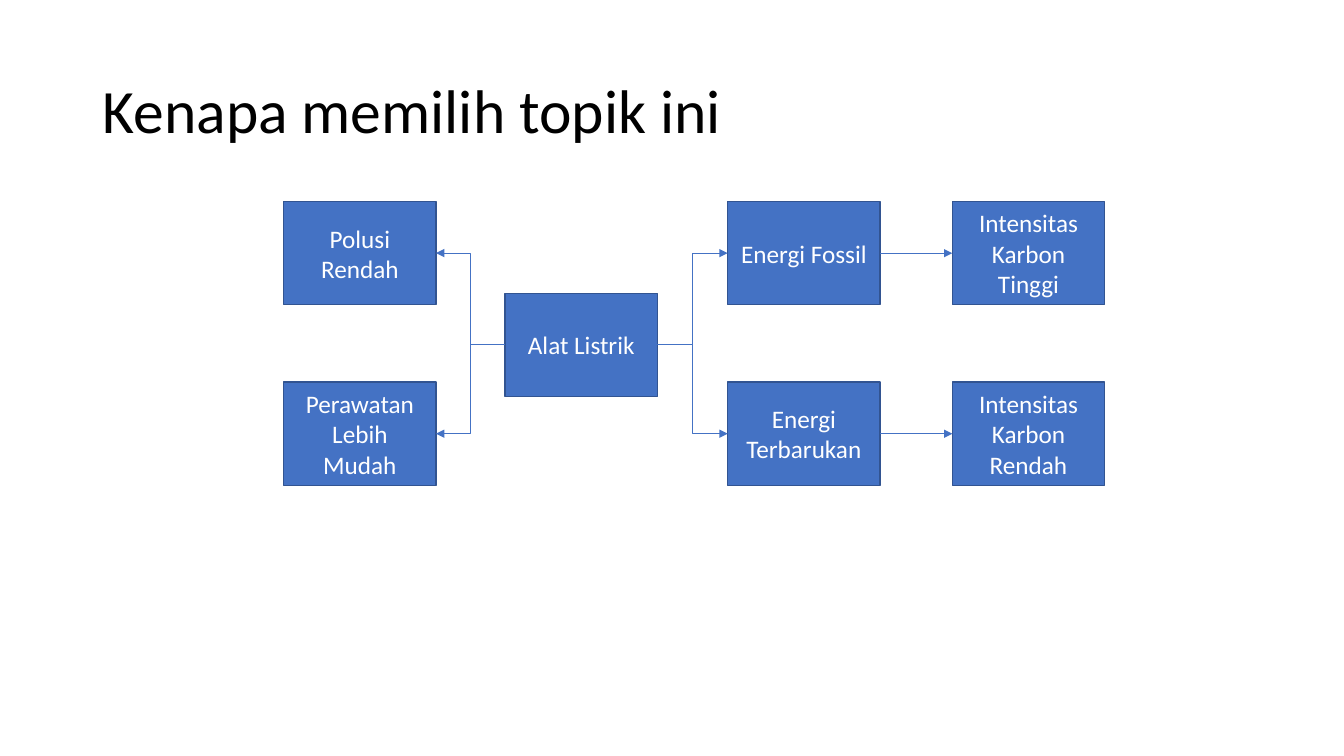
from lxml import etree
from pptx import Presentation
from pptx.dml.color import RGBColor
from pptx.enum.shapes import MSO_CONNECTOR, MSO_SHAPE
from pptx.enum.text import MSO_ANCHOR, PP_ALIGN
from pptx.oxml.ns import qn
from pptx.util import Cm, Pt

RECTANGLE = MSO_SHAPE.RECTANGLE
STRAIGHT, ELBOW = MSO_CONNECTOR.STRAIGHT, MSO_CONNECTOR.ELBOW
MIDDLE = MSO_ANCHOR.MIDDLE
LEFT, CENTER = PP_ALIGN.LEFT, PP_ALIGN.CENTER
LEFT_SITE, RIGHT_SITE = 1, 3  # connection sites of a rectangle

COLORS = {"title": "000000", "box": "4472C4", "border": "325491",
          "label": "FFFFFF", "arrow": "4472C4"}
BOX_WIDTH, BOX_HEIGHT = 3.84, 2.6
TOP_ROW, MIDDLE_ROW, BOTTOM_ROW = 5.08, 7.39, 9.63
BENEFIT_X, DEVICE_X, ENERGY_X, CARBON_X = 7.15, 12.73, 18.34, 24.0

# Text, left and top of each box
BOXES = {
    "device": ("Alat Listrik", DEVICE_X, MIDDLE_ROW),
    "fossil": ("Energi Fossil", ENERGY_X, TOP_ROW),
    "renewable": ("Energi Terbarukan", ENERGY_X, BOTTOM_ROW),
    "high carbon": ("Intensitas Karbon Tinggi", CARBON_X, TOP_ROW),
    "low carbon": ("Intensitas Karbon Rendah", CARBON_X, BOTTOM_ROW),
    "low pollution": ("Polusi Rendah", BENEFIT_X, TOP_ROW),
    "easy care": ("Perawatan Lebih Mudah", BENEFIT_X, BOTTOM_ROW),
}
ARROWS = [
    ("device", "fossil", ELBOW),
    ("device", "renewable", ELBOW),
    ("device", "low pollution", ELBOW),
    ("device", "easy care", ELBOW),
    ("fossil", "high carbon", STRAIGHT),
    ("renewable", "low carbon", STRAIGHT),
]


def rgb(name):
    return RGBColor.from_string(COLORS[name])


def write_text(shape, text, size, color, align, spacing=1.0):
    frame = shape.text_frame
    frame.word_wrap = True
    frame.vertical_anchor = MIDDLE
    para = frame.paragraphs[0]
    para.alignment = align
    para.line_spacing = spacing
    span = para.add_run()
    span.text = text
    span.font.color.rgb = rgb(color)
    for name, value in {"name": "Calibri", "size": Pt(size)}.items():
        setattr(span.font, name, value)


def add_title(page, text):
    title = page.shapes.add_textbox(Cm(2.34), Cm(1.02), Cm(29.21), Cm(3.68))
    write_text(title, text, 44, "title", LEFT, 0.9)


def add_box(page, text, left, top):
    box = page.shapes.add_shape(RECTANGLE, Cm(left), Cm(top),
                                Cm(BOX_WIDTH), Cm(BOX_HEIGHT))
    box.shadow.inherit = False
    box.fill.solid()
    box.fill.fore_color.rgb = rgb("box")
    box.line.color.rgb = rgb("border")
    box.line.width = Pt(1)
    write_text(box, text, 18, "label", CENTER)
    return box


def add_arrow(page, source, target, kind):
    """Join the facing sides of two boxes, with the head at the target."""
    rightward = target.left > source.left
    start_x = source.left + source.width if rightward else source.left
    end_x = target.left if rightward else target.left + target.width
    arrow = page.shapes.add_connector(
        kind, start_x, source.top + source.height // 2,
        end_x, target.top + target.height // 2)
    arrow.begin_connect(source, RIGHT_SITE if rightward else LEFT_SITE)
    arrow.end_connect(target, LEFT_SITE if rightward else RIGHT_SITE)
    arrow.line.color.rgb = rgb("arrow")
    arrow.line.width = Pt(0.5)
    # Arrowhead and no shadow
    etree.SubElement(arrow.line._get_or_add_ln(), qn("a:tailEnd"), type="triangle")
    etree.SubElement(arrow._element.spPr, qn("a:effectLst"))


def main():
    deck = Presentation()
    deck.slide_width, deck.slide_height = Cm(33.87), Cm(19.05)
    page = deck.slides.add_slide(deck.slide_layouts[6])

    add_title(page, "Kenapa memilih topik ini")

    # Diagram
    boxes = {name: add_box(page, *values) for name, values in BOXES.items()}
    for source, target, kind in ARROWS:
        add_arrow(page, boxes[source], boxes[target], kind)

    deck.save("out.pptx")


main()
